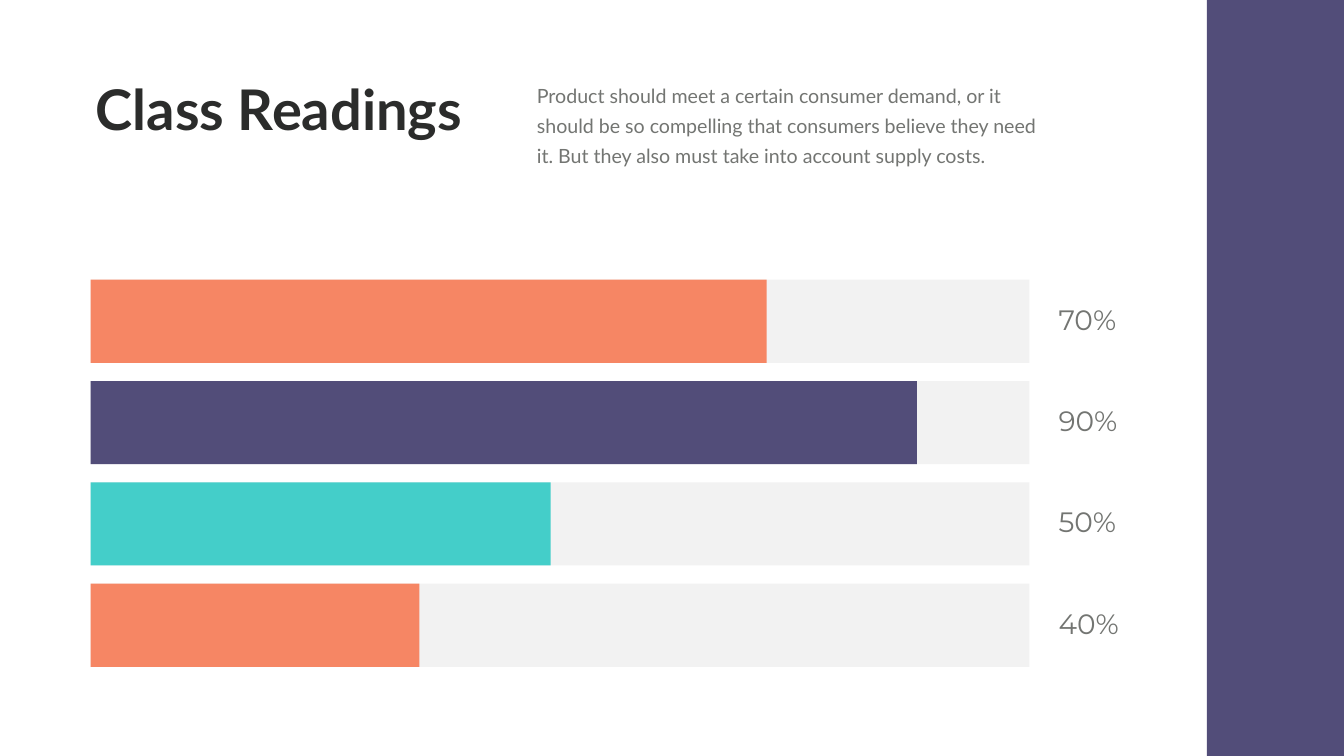
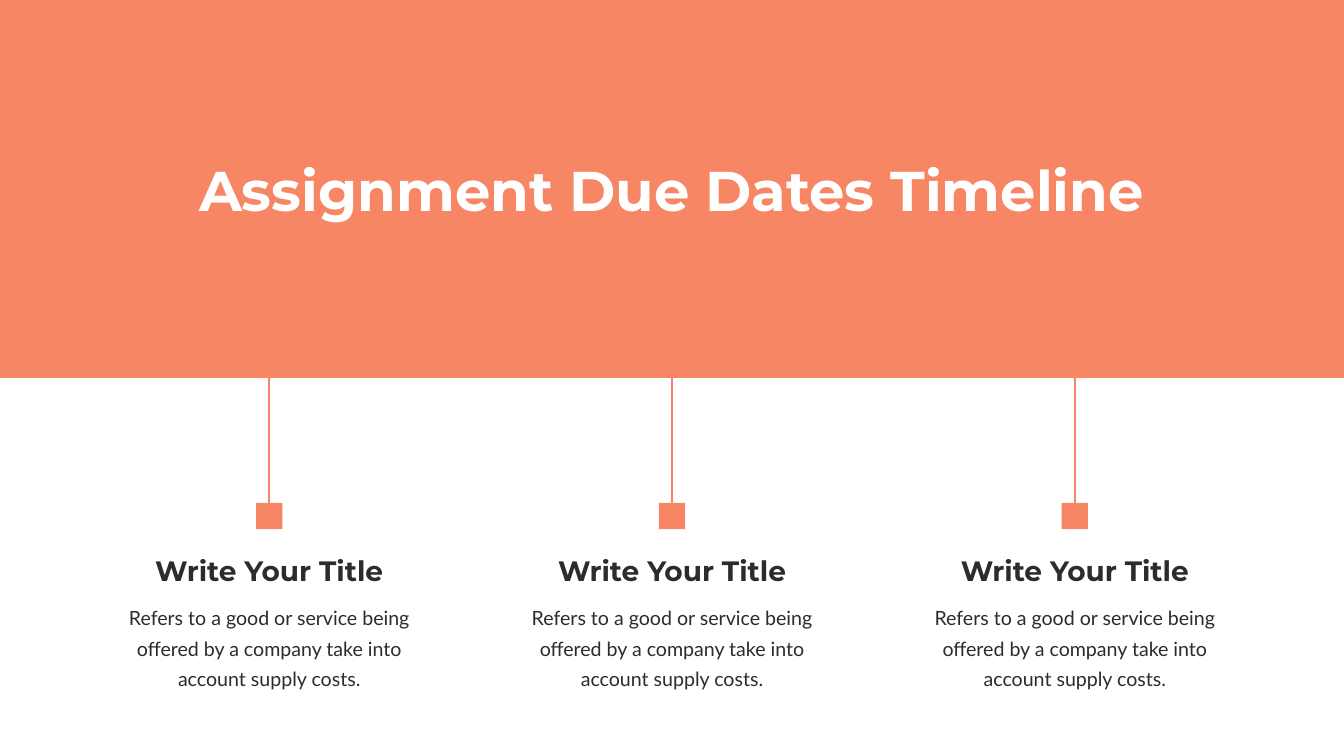
from lxml import etree
from pptx import Presentation
from pptx.dml.color import RGBColor
from pptx.enum.shapes import MSO_CONNECTOR, MSO_SHAPE
from pptx.enum.text import MSO_ANCHOR, MSO_AUTO_SIZE, PP_ALIGN
from pptx.oxml.ns import qn
from pptx.util import Inches, Pt

RECTANGLE = MSO_SHAPE.RECTANGLE
STRAIGHT = MSO_CONNECTOR.STRAIGHT
LEFT, CENTER = PP_ALIGN.LEFT, PP_ALIGN.CENTER
TOP = MSO_ANCHOR.TOP
GROW = MSO_AUTO_SIZE.SHAPE_TO_FIT_TEXT
TOP_SIDE = 0

CORAL = RGBColor(0xF6, 0x86, 0x64)
PURPLE = RGBColor(0x52, 0x4D, 0x79)
TEAL = RGBColor(0x44, 0xCE, 0xC9)
TRACK = RGBColor(0x80, 0x80, 0x80)
DARK = RGBColor(0x2B, 0x2C, 0x2B)
GRAY = RGBColor(0x73, 0x75, 0x72)
WHITE = RGBColor(0xFF, 0xFF, 0xFF)

LATO, MONTSERRAT = "Lato", "Montserrat"
TITLE_SIZE, HEADING_SIZE, BODY_SIZE = 80, 40, 28

# The grid has square cells.
COLUMNS, ROWS = 26.66, 15
CELL = Inches(1)
TITLE_ONLY = 5


def cells(*lengths):
    return [round(length * CELL) for length in lengths]


class Deck:
    """Holds the presentation, its style and the current slide."""

    def __init__(self):
        self.presentation = Presentation()
        self.presentation.slide_width, self.presentation.slide_height = cells(COLUMNS, ROWS)
        self.slide = None

    def new_slide(self):
        layout = self.presentation.slide_layouts[TITLE_ONLY]
        self.slide = self.presentation.slides.add_slide(layout)

    def fill_text(self, shape, text, font, size, color, bold=False, align=LEFT):
        frame = shape.text_frame
        frame.text = text
        frame.word_wrap = True
        frame.auto_size = GROW
        frame.vertical_anchor = TOP
        paragraph = frame.paragraphs[0]
        paragraph.alignment = align
        paragraph.font.name = font
        paragraph.font.size = Pt(size)
        paragraph.font.bold = bold
        paragraph.font.color.rgb = color
        return frame

    def title(self, text, left, top, width, font, color, align=LEFT):
        shape = self.slide.shapes.title
        shape.left, shape.top, shape.width, shape.height = cells(left, top, width, 1.45)
        self.fill_text(shape, text, font, TITLE_SIZE, color, True, align)

    def heading(self, text, left, top, width, color, bold=False, align=LEFT):
        box = self.slide.shapes.add_textbox(*cells(left, top, width, 0.77))
        self.fill_text(box, text, MONTSERRAT, HEADING_SIZE, color, bold, align)

    def body(self, text, left, top, width, color, align=LEFT):
        box = self.slide.shapes.add_textbox(*cells(left, top, width, 1.98))
        frame = self.fill_text(box, text, LATO, BODY_SIZE, color, align=align)
        frame.margin_left = frame.margin_right = Inches(0.24)
        frame.margin_top = frame.margin_bottom = Inches(0.12)
        paragraph = frame.paragraphs[0]
        paragraph.line_spacing = Pt(43)
        paragraph.space_before = Pt(0.2 * BODY_SIZE)

    def block(self, left, top, width, height, color, opacity=None):
        shape = self.slide.shapes.add_shape(RECTANGLE, *cells(left, top, width, height))
        shape.shadow.inherit = False
        shape.line.fill.background()
        shape.fill.solid()
        shape.fill.fore_color.rgb = color
        if opacity is not None:
            color_element = shape.fill._xPr.find(".//" + qn("a:srgbClr"))
            etree.SubElement(color_element, qn("a:alpha"), val=str(round(opacity * 100000)))
        return shape

    def band(self, left, top, width, height, color):
        """Draw a block behind everything else on the slide."""
        shape = self.block(left, top, width, height, color)
        self.slide.shapes._spTree.insert(2, shape._element)

    def stem(self, center, top, marker):
        """Draw a line from the given row down to the marker's top side."""
        x, y = cells(center, top)
        line = self.slide.shapes.add_connector(STRAIGHT, x, y, x, marker.top)
        line.end_connect(marker, TOP_SIDE)
        line.line.color.rgb = CORAL
        line.line.width = Pt(3)
        etree.SubElement(line._element.spPr, qn("a:effectLst"))


def class_readings(deck):
    margin, track_width, bar_height = 1.8, 18.62, 1.65
    first_bar, bar_step = 5.55, 2.01
    bars = [
        ("70%", 0.72, CORAL),
        ("90%", 0.88, PURPLE),
        ("50%", 0.49, TEAL),
        ("40%", 0.35, CORAL),
    ]
    deck.new_slide()
    deck.band(23.94, 0, COLUMNS - 23.94, ROWS, PURPLE)
    deck.title("Class Readings", margin, 1.42, 8.12, LATO, DARK)
    deck.body(
        "Product should meet a certain consumer demand, or it should be so compelling "
        "that consumers believe they need it. But they also must take into account "
        "supply costs.",
        10.41, 1.42, 10.58, GRAY)
    for index, (label, share, color) in enumerate(bars):
        top = first_bar + index * bar_step
        deck.block(margin, top, track_width, bar_height, TRACK, opacity=0.1)
        deck.block(margin, top, share * track_width, bar_height, color)
        deck.heading(label, 20.9, top + 0.4, 1.92, GRAY)


def due_dates_timeline(deck):
    center, step, marker_size = COLUMNS / 2, 7.99, 0.52
    title_width, heading_width, body_width = 21.9, 5.92, 6.24
    deck.new_slide()
    deck.band(0, 0, COLUMNS, ROWS / 2, CORAL)
    deck.title("Assignment Due Dates Timeline", center - title_width / 2, 3.03,
               title_width, MONTSERRAT, WHITE, CENTER)
    for offset in (-step, 0, step):
        middle = center + offset
        marker = deck.block(middle - marker_size / 2, 9.98, marker_size, marker_size, CORAL)
        deck.stem(middle, 6.95, marker)
        deck.heading("Write Your Title", middle - heading_width / 2, 10.93,
                     heading_width, DARK, True, CENTER)
        deck.body("Refers to a good or service being offered by a company take into "
                  "account supply costs.",
                  middle - body_width / 2, 11.78, body_width, DARK, CENTER)


def main():
    deck = Deck()
    class_readings(deck)
    due_dates_timeline(deck)
    deck.presentation.save("out.pptx")


if __name__ == "__main__":
    main()
